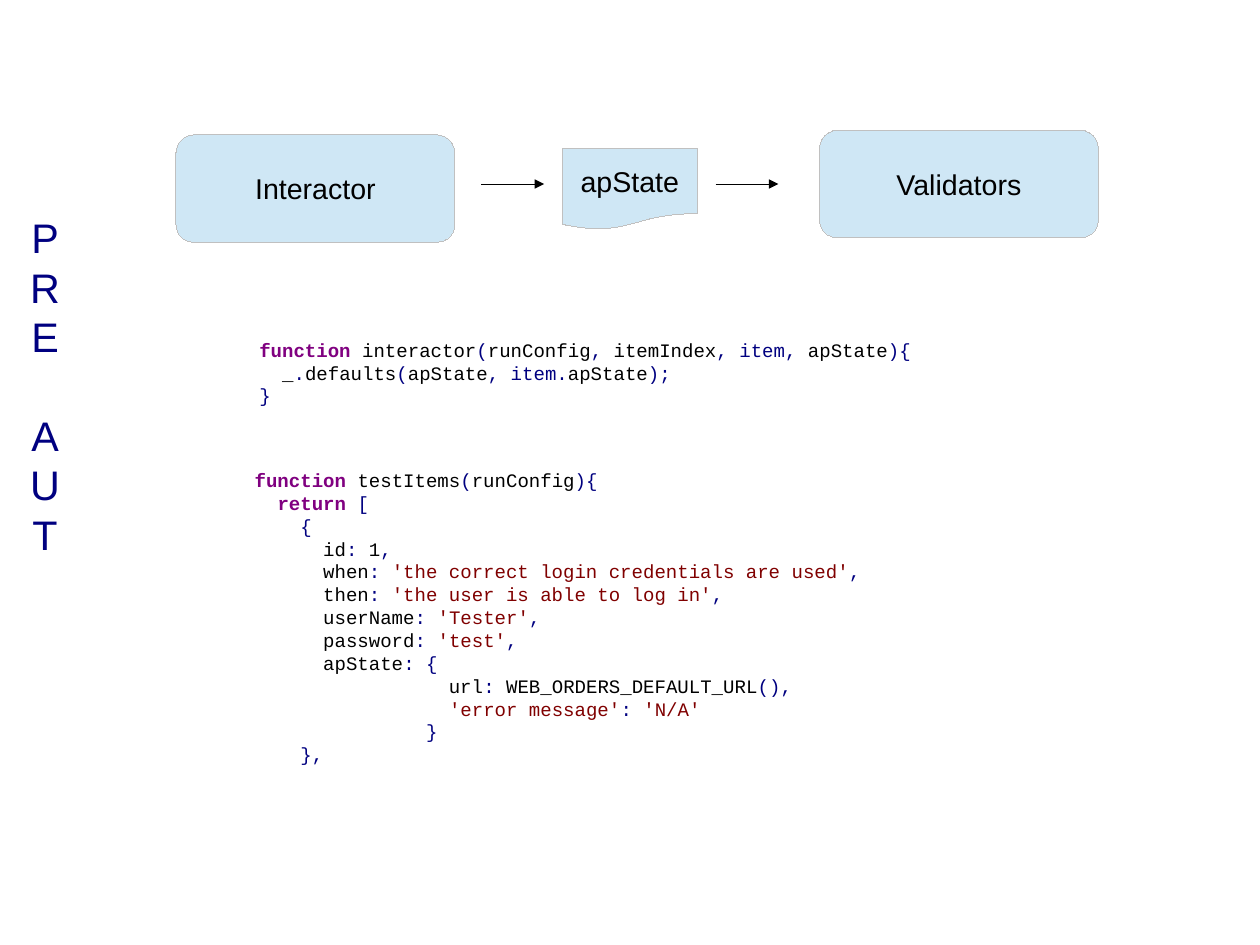
"""Build the slide showing the pre-AUT flow from interactor to validators."""
from dataclasses import dataclass
from itertools import groupby

from lxml.etree import SubElement
from pptx import Presentation
from pptx.dml.color import RGBColor
from pptx.enum.shapes import MSO_CONNECTOR, MSO_SHAPE
from pptx.enum.text import MSO_ANCHOR, PP_ALIGN
from pptx.oxml.ns import qn
from pptx.shapes.autoshape import Shape
from pptx.shapes.connector import Connector
from pptx.slide import Slide
from pptx.text.text import TextFrame
from pptx.util import Inches, Pt

BLACK, NAVY, PURPLE, MAROON = "000000", "000080", "800080", "800000"
PALE_BLUE, SILVER = "CFE7F5", "C0C0C0"
WORD_COLORS = {"function": PURPLE, "return": PURPLE, "item": NAVY}
ARROW_Y, ARROW_LENGTH = 1.61, 0.55
CM_PER_INCH = 2.54


@dataclass
class Stage:
    label: str
    outline: MSO_SHAPE
    left: float
    top: float
    width: float
    height: float


@dataclass
class Listing:
    code: str
    left: float
    top: float
    width: float
    height: float


STAGES = [
    Stage("Interactor", MSO_SHAPE.ROUNDED_RECTANGLE, 1.54, 1.18, 2.44, 0.94),
    Stage("apState", MSO_SHAPE.FLOWCHART_DOCUMENT, 4.92, 1.3, 1.18, 0.71),
    Stage("Validators", MSO_SHAPE.ROUNDED_RECTANGLE, 7.17, 1.14, 2.44, 0.94),
]
ARROW_STARTS = [4.21, 6.26]

TEST_ITEMS = """function testItems(runConfig){
  return [
    {
      id: 1,
      when: 'the correct login credentials are used',
      then: 'the user is able to log in',
      userName: 'Tester',
      password: 'test',
      apState: {
                 url: WEB_ORDERS_DEFAULT_URL(),
                 'error message': 'N/A'
               }
    },"""

INTERACTOR = """function interactor(runConfig, itemIndex, item, apState){
  _.defaults(apState, item.apState);
}"""

LISTINGS = [
    Listing(TEST_ITEMS, 2.13, 4.05, 7.17, 2.8),
    Listing(INTERACTOR, 2.17, 2.91, 7.32, 0.82),
]


def rgb(color: str) -> RGBColor:
    """Turn a hex string into a colour."""
    return RGBColor.from_string(color)


def char_kind(char: str) -> str:
    """Tell spaces, word characters and punctuation apart."""
    if char == " ":
        return "space"
    return "word" if char.isalnum() or char == "_" else "mark"


def colored_tokens(line: str) -> list[tuple[str, str]]:
    """Split a line of code into pieces of text with their colours."""
    tokens = []
    for index, part in enumerate(line.split("'")):
        if index % 2:
            tokens.append((f"'{part}'", MAROON))
            continue
        for kind, chars in groupby(part, char_kind):
            token = "".join(chars)
            color = NAVY if kind == "mark" else WORD_COLORS.get(token, BLACK)
            tokens.append((token, color))
    return [("".join(text for text, _ in group), color)
            for color, group in groupby(tokens, lambda token: token[1])]


def set_hairline(shape: Shape | Connector, color: str) -> None:
    """Give a shape or connector the thinnest line in a colour."""
    shape.line.color.rgb = rgb(color)
    shape.line._get_or_add_ln().set("w", "0")


def add_text_frame(slide: Slide, left: float, top: float, width: float, height: float) -> TextFrame:
    """Add a wrapping text box and return its frame."""
    frame = slide.shapes.add_textbox(
        Inches(left), Inches(top), Inches(width), Inches(height)).text_frame
    frame.word_wrap = True
    return frame


def add_phase(slide: Slide) -> None:
    """Add the phase name, which wraps to one letter a line."""
    frame = add_text_frame(slide, 0.16, 1.81, 0.47, 3.73)
    frame.text = "PRE\nAUT"
    for paragraph in frame.paragraphs:
        paragraph.alignment = PP_ALIGN.CENTER
        paragraph.font.name = "Arial"
        paragraph.font.size = Pt(26)
        paragraph.font.color.rgb = rgb(NAVY)
    frame.paragraphs[1].space_before = Pt(31)


def add_stage(slide: Slide, stage: Stage) -> None:
    """Add one labelled stage of the flow."""
    shape = slide.shapes.add_shape(
        stage.outline, Inches(stage.left), Inches(stage.top),
        Inches(stage.width), Inches(stage.height))
    shape.shadow.inherit = False
    shape.fill.solid()
    shape.fill.fore_color.rgb = rgb(PALE_BLUE)
    set_hairline(shape, SILVER)
    frame = shape.text_frame
    frame.word_wrap = False
    frame.vertical_anchor = MSO_ANCHOR.MIDDLE
    frame.text = stage.label
    paragraph = frame.paragraphs[0]
    paragraph.alignment = PP_ALIGN.CENTER
    paragraph.font.name = "Arial"
    paragraph.font.size = Pt(18)
    paragraph.font.color.rgb = rgb(BLACK)


def add_arrow(slide: Slide, start: float) -> None:
    """Add an arrow pointing right from the given start."""
    arrow = slide.shapes.add_connector(
        MSO_CONNECTOR.STRAIGHT, Inches(start), Inches(ARROW_Y),
        Inches(start + ARROW_LENGTH), Inches(ARROW_Y))
    set_hairline(arrow, BLACK)
    SubElement(arrow.line._get_or_add_ln(), qn("a:tailEnd"), type="triangle")
    SubElement(arrow._element.spPr, qn("a:effectLst"))


def add_listing(slide: Slide, listing: Listing) -> None:
    """Add a code listing with coloured syntax."""
    frame = add_text_frame(slide, listing.left, listing.top, listing.width, listing.height)
    for index, line in enumerate(listing.code.splitlines()):
        paragraph = frame.add_paragraph() if index else frame.paragraphs[0]
        paragraph.font.name = "Courier New"
        paragraph.font.size = Pt(12)
        for text, color in colored_tokens(line):
            run = paragraph.add_run()
            run.text = text
            run.font.color.rgb = rgb(color)
            if color == PURPLE:
                run.font.bold = True


def main() -> None:
    """Build and save the slide."""
    presentation = Presentation()
    presentation.slide_width = Inches(28 / CM_PER_INCH)
    presentation.slide_height = Inches(21 / CM_PER_INCH)
    slide = presentation.slides.add_slide(presentation.slide_layouts[6])
    add_phase(slide)
    for stage in STAGES:
        add_stage(slide, stage)
    for start in ARROW_STARTS:
        add_arrow(slide, start)
    for listing in LISTINGS:
        add_listing(slide, listing)
    presentation.save("out.pptx")


if __name__ == "__main__":
    main()
